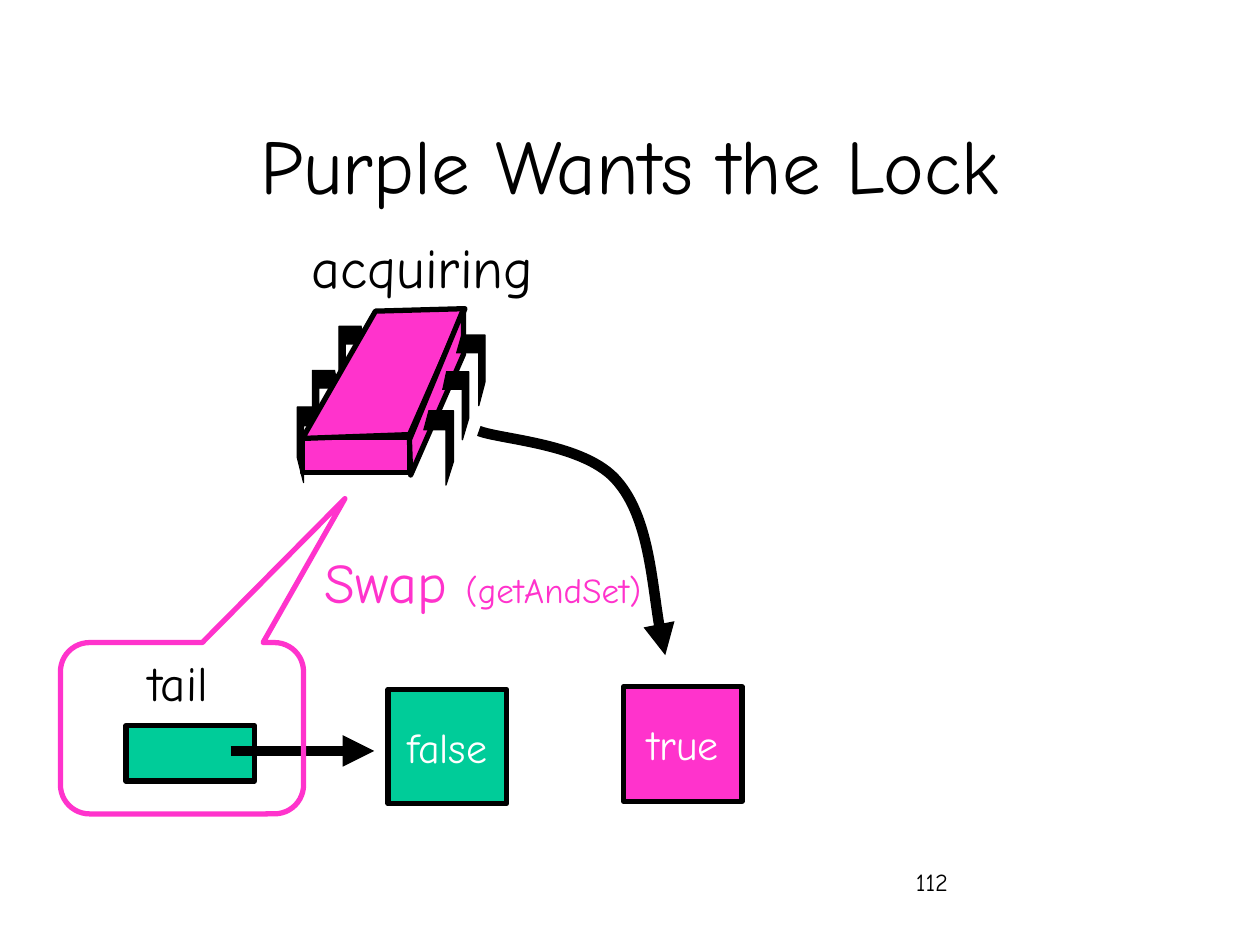
from pptx import Presentation
from pptx.dml.color import RGBColor
from pptx.enum.shapes import MSO_CONNECTOR, MSO_SHAPE
from pptx.enum.text import MSO_ANCHOR, PP_ALIGN
from pptx.oxml.ns import qn
from pptx.util import Inches, Pt
from lxml import etree

FONT = "Comic Neue"
BLACK = RGBColor(0x00, 0x00, 0x00)
WHITE = RGBColor(0xFF, 0xFF, 0xFF)
GREEN = RGBColor(0x00, 0xCC, 0x99)
PURPLE = RGBColor(0xFF, 0x33, 0xCC)
LEFT, CENTER = PP_ALIGN.LEFT, PP_ALIGN.CENTER
TOP, MIDDLE = MSO_ANCHOR.TOP, MSO_ANCHOR.MIDDLE
RECT, CALLOUT = MSO_SHAPE.RECTANGLE, MSO_SHAPE.ROUNDED_RECTANGULAR_CALLOUT
STRAIGHT = MSO_CONNECTOR.STRAIGHT
THIN, OUTLINE, ARROW = 0.75, 3, 6

# box, runs (text, size, colour), alignment, anchor, wrap
LABELS = [
    ((7.17, 6.83, 2.08, 0.5), [("112", 14, BLACK)], LEFT, TOP, True),
    ((0.75, 0.67, 8.5, 1.25), [("Purple Wants the Lock", 44, BLACK)], CENTER, MIDDLE, True),
    ((1.08, 5.13, 0.8, 0.57), [("tail", 28, BLACK)], LEFT, TOP, False),
    ((2.33, 1.8, 2.05, 0.63), [("acquiring", 32, BLACK)], CENTER, TOP, False),
    ((2.48, 4.3, 3.06, 0.64),
     [("Swap ", 32, PURPLE), ("(getAndSet)", 20, PURPLE)], LEFT, TOP, False),
]
NODE_SIZE = (0.94, 0.91)
NODES = [((3.08, 5.47), "false", GREEN), ((4.95, 5.45), "true", PURPLE)]
TAIL_BOX = (1, 5.76, 1.02, 0.44)
TAIL_ARROW = (1.83, 5.96, 2.97, 5.96)
SWAP_CALLOUT = (0.48, 5.1, 1.93, 1.36)
CALLOUT_ADJUST = (0.67, -1.34, 0.17)

# Thread: each leg is x of (hip, knee, shin, socket) and y of (hip, shin, foot, socket)
LEFT_LEGS = [
    ((2.55, 2.36, 2.41, 2.6), (3.23, 3.63, 3.83, 3.38)),
    ((2.66, 2.48, 2.53, 2.69), (2.94, 3.3, 3.48, 3.08)),
    ((2.87, 2.69, 2.74, 2.91), (2.59, 2.96, 3.15, 2.73)),
]
RIGHT_LEGS = [
    ((3.4, 3.6, 3.54, 3.36), (3.26, 3.66, 3.85, 3.41)),
    ((3.54, 3.72, 3.67, 3.51), (2.95, 3.32, 3.49, 3.09)),
    ((3.66, 3.85, 3.8, 3.62), (2.66, 3.03, 3.22, 2.8)),
]
BODY_FRONT = (2.4, 3.47, 0.85, 0.28)
BODY_TOP = [(2.4, 3.48), (3.25, 3.45), (3.69, 2.45), (2.98, 2.47)]
BODY_SIDE = [(3.68, 2.45), (3.68, 2.81), (3.26, 3.77), (3.25, 3.49)]
# Start point, then two controls and an end for each Bezier piece
NODE_CURVE = [(3.8, 3.42), (3.98, 3.49), (4.65, 3.52), (4.9, 3.82),
              (5.15, 4.11), (5.2, 4.91), (5.28, 5.2)]


def inches(values):
    return [Inches(v) for v in values]


def style(sp, fill, line, width):
    sp.shadow.inherit = False
    if fill is None:
        sp.fill.background()
    else:
        sp.fill.solid()
        sp.fill.fore_color.rgb = fill
    sp.line.color.rgb = line
    sp.line.width = Pt(width)


def write(sp, runs, align, anchor, wrap):
    tf = sp.text_frame
    tf.word_wrap = wrap
    tf.vertical_anchor = anchor
    p = tf.paragraphs[0]
    p.alignment = align
    for text, size, color in runs:
        r = p.add_run()
        r.text = text
        r.font.name = FONT
        r.font.size = Pt(size)
        r.font.color.rgb = color


def add_preset(shapes, kind, box, fill, line=BLACK):
    sp = shapes.add_shape(kind, *inches(box))
    style(sp, fill, line, OUTLINE)
    return sp


def add_outline(shapes, points, fill, width, close=False):
    start, *rest = [inches(pt) for pt in points]
    builder = shapes.build_freeform(*start)
    builder.add_line_segments(rest, close=close)
    sp = builder.convert_to_shape()
    style(sp, fill, BLACK, width)
    return sp


def add_leg(shapes, xs, ys):
    hip, knee, shin, socket = xs
    top, bend, foot, under = ys
    points = [(hip, top), (knee, top), (knee, bend),
              (shin, foot), (shin, under), (socket, under)]
    add_outline(shapes, points, BLACK, THIN)


def bend_segments(sp):
    """Turn each three line segments of a freeform into one Bezier piece."""
    lines = list(sp._element.iter(qn("a:lnTo")))
    for i in range(0, len(lines), 3):
        curve = etree.Element(qn("a:cubicBezTo"))
        lines[i].addprevious(curve)
        for ln in lines[i:i + 3]:
            curve.append(ln[0])
            ln.getparent().remove(ln)


def add_arrowhead(sp):
    ln = sp.line._get_or_add_ln()
    etree.SubElement(ln, qn("a:tailEnd"), type="triangle")


def add_thread(slide):
    shapes = slide.shapes.add_group_shape().shapes
    add_preset(shapes, RECT, BODY_FRONT, PURPLE)
    for leg in LEFT_LEGS:
        add_leg(shapes, *leg)
    for face in (BODY_TOP, BODY_SIDE):
        add_outline(shapes, face, PURPLE, OUTLINE, close=True)
    for leg in RIGHT_LEGS:
        add_leg(shapes, *leg)


def main():
    prs = Presentation()
    prs.slide_width, prs.slide_height = Inches(10), Inches(7.5)
    s = prs.slides.add_slide(prs.slide_layouts[6])

    for corner, text, fill in NODES:
        node = add_preset(s.shapes, RECT, corner + NODE_SIZE, fill)
        write(node, [(text, 24, WHITE)], CENTER, MIDDLE, False)
    add_preset(s.shapes, RECT, TAIL_BOX, GREEN)

    pointer = s.shapes.add_connector(STRAIGHT, *inches(TAIL_ARROW))
    pointer.line.color.rgb = BLACK
    pointer.line.width = Pt(ARROW)
    add_arrowhead(pointer)
    etree.SubElement(pointer._element.spPr, qn("a:effectLst"))

    add_thread(s)

    callout = add_preset(s.shapes, CALLOUT, SWAP_CALLOUT, None, PURPLE)
    for i, value in enumerate(CALLOUT_ADJUST):
        callout.adjustments[i] = value

    curve = add_outline(s.shapes, NODE_CURVE, None, ARROW)
    bend_segments(curve)
    add_arrowhead(curve)

    for box, *text in LABELS:
        write(s.shapes.add_textbox(*inches(box)), *text)

    prs.save("out.pptx")


if __name__ == "__main__":
    main()
